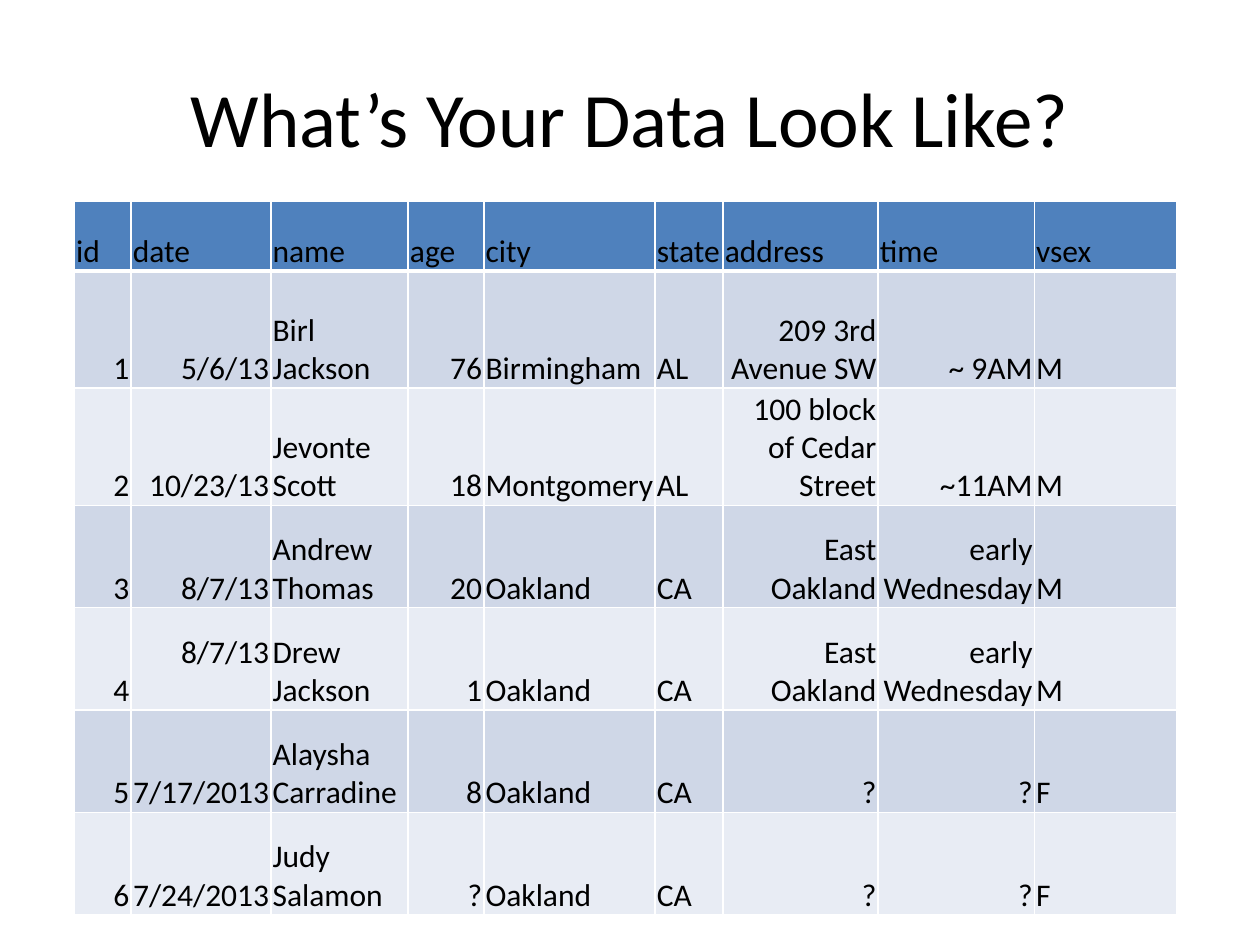
import pptx
import pptx.dml.color
import pptx.enum.text
import pptx.oxml
import pptx.oxml.ns
import pptx.util

Inches, Pt = pptx.util.Inches, pptx.util.Pt
ALIGN = pptx.enum.text.PP_ALIGN
ANCHOR = pptx.enum.text.MSO_ANCHOR

# Content
TITLE = "What’s Your Data Look Like?"
COLUMNS = [  # heading, width, alignment of the values
    ("id", 0.45, ALIGN.RIGHT),
    ("date", 1.11, ALIGN.RIGHT),
    ("name", 1.09, ALIGN.LEFT),
    ("age", 0.6, ALIGN.RIGHT),
    ("city", 1.36, ALIGN.LEFT),
    ("state", 0.54, ALIGN.LEFT),
    ("address", 1.23, ALIGN.RIGHT),
    ("time", 1.24, ALIGN.RIGHT),
    ("vsex", 1.13, ALIGN.LEFT),
]
RECORDS = [
    ("1", "5/6/13", "Birl Jackson", "76", "Birmingham", "AL", "209 3rd Avenue SW", "~ 9AM", "M"),
    ("2", "10/23/13", "Jevonte Scott", "18", "Montgomery", "AL", "100 block of Cedar Street", "~11AM", "M"),
    ("3", "8/7/13", "Andrew Thomas", "20", "Oakland", "CA", "East Oakland", "early Wednesday", "M"),
    ("4", "8/7/13", "Drew Jackson", "1", "Oakland", "CA", "East Oakland", "early Wednesday", "M"),
    ("5", "7/17/2013", "Alaysha Carradine", "8", "Oakland", "CA", "?", "?", "F"),
    ("6", "7/24/2013", "Judy Salamon", "?", "Oakland", "CA", "?", "?", "F"),
]
ROW_POINTS = [39.6] + [67] * 2 + [58.5] * 4
RAISED_CELL = (4, 1)  # this date sits one line above the bottom
LINE_POINTS = 22
COLORS = {"text": "000000", "header": "4F81BD", "odd": "CFD7E7",
          "even": "E8ECF4", "border": "FFFFFF"}


def rgb(name):
    return pptx.dml.color.RGBColor.from_string(COLORS[name])


def set_all(target, values):
    for name, value in values.items():
        setattr(target, name, value)


def write(para, text, size, align):
    para.alignment = align
    span = para.add_run()
    span.text = text
    set_all(span.font, {"name": "Calibri", "size": Pt(size)})
    span.font.color.rgb = rgb("text")


def add_borders(cell, bottom, top):
    widths = {"lnL": 1, "lnR": 1, "lnT": top, "lnB": bottom}
    properties = cell._tc.get_or_add_tcPr()
    for side, width in widths.items():
        properties.append(pptx.oxml.parse_xml(
            f'<a:{side} {pptx.oxml.ns.nsdecls("a")} w="{Pt(width)}"><a:solidFill>'
            f'<a:srgbClr val="{COLORS["border"]}"/></a:solidFill></a:{side}>'))


deck = pptx.Presentation()
set_all(deck, {"slide_width": Inches(10), "slide_height": Inches(7.5)})
page = deck.slides.add_slide(deck.slide_layouts[6])

# Title
box = page.shapes.add_textbox(Inches(0.5), Inches(0.3), Inches(9), Inches(1.25))
set_all(box.text_frame, {"word_wrap": True, "vertical_anchor": ANCHOR.MIDDLE})
write(box.text_frame.paragraphs[0], TITLE, 44, ALIGN.CENTER)

# Table grid
widths = [width for _, width, _ in COLUMNS]
table = page.shapes.add_table(
    len(ROW_POINTS), len(COLUMNS), Inches(0.59), Inches(1.6),
    Inches(sum(widths)), Pt(sum(ROW_POINTS))).table
for column, width in zip(table.columns, widths):
    column.width = Inches(width)
for row, height in zip(table.rows, ROW_POINTS):
    row.height = Pt(height)

# Table cells
headings = [heading for heading, _, _ in COLUMNS]
for r, values in enumerate([headings] + RECORDS):
    fill = "header" if r == 0 else "odd" if r % 2 else "even"
    for c, value in enumerate(values):
        cell = table.cell(r, c)
        bottom = LINE_POINTS if (r, c) == RAISED_CELL else 0
        set_all(cell, {
            "vertical_anchor": ANCHOR.BOTTOM,
            "margin_left": Pt(1), "margin_right": Pt(1),
            "margin_top": Pt(1), "margin_bottom": Pt(bottom)})
        add_borders(cell, bottom=3 if r == 0 else 1, top=3 if r == 1 else 1)
        cell.fill.solid()
        cell.fill.fore_color.rgb = rgb(fill)
        align = ALIGN.LEFT if r == 0 else COLUMNS[c][2]
        write(cell.text_frame.paragraphs[0], value, 18, align)

deck.save("out.pptx")
